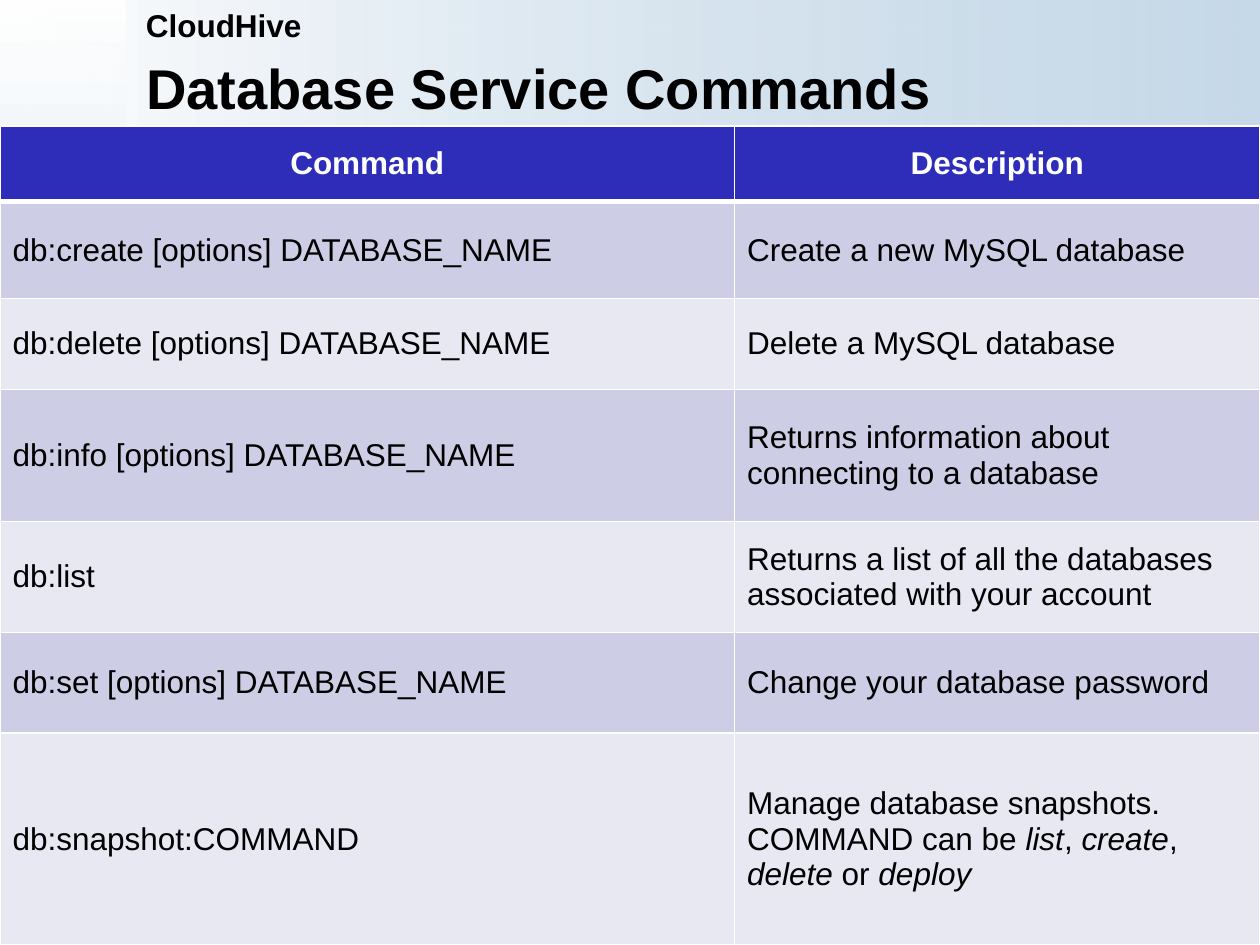
from pptx import Presentation
from pptx.dml.color import RGBColor
from pptx.enum.shapes import MSO_SHAPE
from pptx.enum.text import MSO_ANCHOR, MSO_AUTO_SIZE, PP_ALIGN
from pptx.oxml import parse_xml
from pptx.oxml.ns import nsdecls
from pptx.oxml.xmlchemy import OxmlElement
from pptx.util import Inches, Pt

RECTANGLE = MSO_SHAPE.RECTANGLE
MIDDLE, TOP = MSO_ANCHOR.MIDDLE, MSO_ANCHOR.TOP
LEFT, CENTER = PP_ALIGN.LEFT, PP_ALIGN.CENTER
NO_AUTOFIT = MSO_AUTO_SIZE.NONE

BLACK = RGBColor(0x00, 0x00, 0x00)
WHITE = RGBColor(0xFF, 0xFF, 0xFF)
MIST_BLUE = RGBColor(0xA5, 0xC3, 0xDB)
HEADER_BLUE = RGBColor(0x2D, 0x2D, 0xB9)
ROW_FILLS = (RGBColor(0xE8, 0xE8, 0xF3), RGBColor(0xCD, 0xCD, 0xE6))

COLUMN_WIDTHS = (5.83, 4.17)
ROW_HEIGHTS = (0.6, 0.77, 0.72, 1.05, 0.88, 0.8, 1.68)
SNAPSHOT_DESCRIPTION = (
    "Manage database snapshots. COMMAND can be ",
    ("list", True), ", ", ("create", True), ", ",
    ("delete", True), " or ", ("deploy", True),
)
COMMANDS = (
    ("Command", "Description"),
    ("db:create [options] DATABASE_NAME", "Create a new MySQL database"),
    ("db:delete [options] DATABASE_NAME", "Delete a MySQL database"),
    ("db:info [options] DATABASE_NAME",
     "Returns information about connecting to a database"),
    ("db:list",
     "Returns a list of all the databases associated with your account"),
    ("db:set [options] DATABASE_NAME", "Change your database password"),
    ("db:snapshot:COMMAND", SNAPSHOT_DESCRIPTION),
)


def write_text(frame, text, size=18, color=BLACK, bold=False, align=LEFT):
    """Write a string, or a series of strings and (string, italic) pairs."""
    paragraph = frame.paragraphs[0]
    paragraph.alignment = align
    for piece in (text,) if isinstance(text, str) else text:
        words, italic = (piece, False) if isinstance(piece, str) else piece
        run = paragraph.add_run()
        run.text = words
        run.font.name = "Arial"
        run.font.size = Pt(size)
        run.font.bold = bold
        run.font.italic = italic
        run.font.color.rgb = color


def add_gradient_band(slide, width, height, angle, opacity):
    """Add a band at the top left corner that fades from white to blue."""
    band = slide.shapes.add_shape(
        RECTANGLE, 0, 0, Inches(width), Inches(height))
    band.shadow.inherit = False
    band.line.fill.background()
    band.fill.gradient()
    band.fill.gradient_angle = angle
    start, end = band.fill.gradient_stops
    start.color.rgb, start.position = WHITE, 0
    end.color.rgb, end.position = MIST_BLUE, 1
    alpha = OxmlElement("a:alpha")
    alpha.set("val", str(opacity * 1000))
    band.element.spPr.xpath(".//a:gs[last()]/a:srgbClr")[0].append(alpha)


def place_title(slide, text):
    """Bring the title in front of the bands, then place and fill it."""
    title = slide.shapes.title
    title.element.getparent().append(title.element)
    title.left, title.top = Inches(1.06), Inches(0.23)
    title.width, title.height = Inches(8.45), Inches(0.92)
    title.text_frame.auto_size = NO_AUTOFIT
    title.text_frame.vertical_anchor = MIDDLE
    write_text(title.text_frame, text, size=32, bold=True)


def add_topic(slide, text):
    """Add the small heading above the title."""
    topic = slide.shapes.add_textbox(
        Inches(1.06), 0, Inches(8.94), Inches(0.41))
    topic.text_frame.word_wrap = True
    topic.text_frame.vertical_anchor = TOP
    write_text(topic.text_frame, text, bold=True)


def set_borders(cell, top=1, bottom=1):
    """Draw white borders around a cell, with widths in points."""
    properties = cell._tc.get_or_add_tcPr()
    for side, width in (("L", 1), ("R", 1), ("T", top), ("B", bottom)):
        properties.append(parse_xml(
            f'<a:ln{side} {nsdecls("a")} w="{Pt(width)}"><a:solidFill>'
            f'<a:srgbClr val="{WHITE}"/></a:solidFill></a:ln{side}>'))


def add_command_table(slide):
    """Add the table of commands with a header and alternating rows."""
    table = slide.shapes.add_table(
        len(ROW_HEIGHTS), len(COLUMN_WIDTHS), 0, Inches(1),
        Inches(sum(COLUMN_WIDTHS)), Inches(sum(ROW_HEIGHTS))).table
    for column, width in zip(table.columns, COLUMN_WIDTHS):
        column.width = Inches(width)
    for index, (row, height) in enumerate(zip(table.rows, ROW_HEIGHTS)):
        row.height = Inches(height)
        header = index == 0
        for cell, text in zip(row.cells, COMMANDS[index]):
            set_borders(cell, top=3 if index == 1 else 1,
                        bottom=3 if header else 1)
            cell.fill.solid()
            cell.fill.fore_color.rgb = (
                HEADER_BLUE if header else ROW_FILLS[index % 2])
            cell.vertical_anchor = MIDDLE
            write_text(cell.text_frame, text, bold=header,
                       color=WHITE if header else BLACK,
                       align=CENTER if header else LEFT)


def main():
    """Build the slide and save it."""
    presentation = Presentation()
    presentation.slide_width = Inches(10)
    presentation.slide_height = Inches(7.5)
    slide = presentation.slides.add_slide(presentation.slide_layouts[5])
    add_gradient_band(slide, 10, 1, angle=0, opacity=62)
    add_gradient_band(slide, 1, 7.5, angle=270, opacity=59)
    place_title(slide, "Database Service Commands")
    add_topic(slide, "CloudHive")
    add_command_table(slide)
    presentation.save("out.pptx")


if __name__ == "__main__":
    main()
